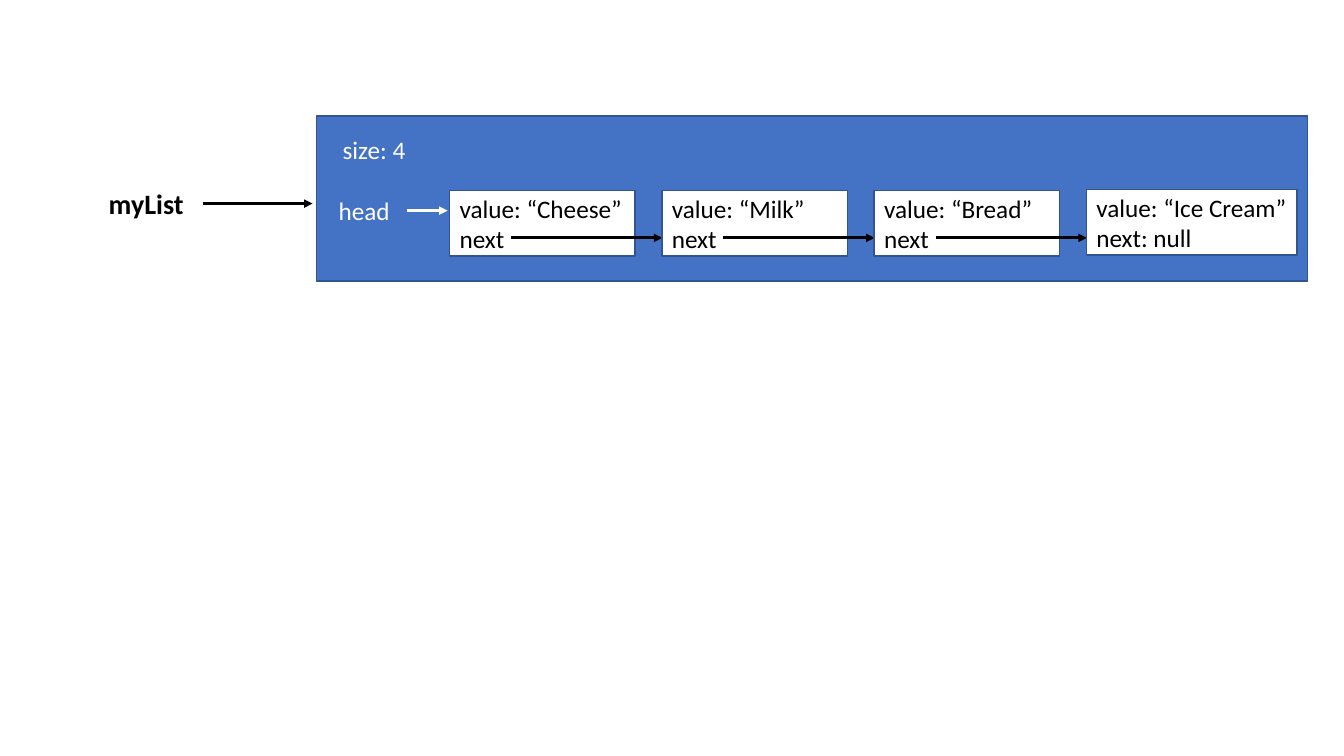
"""Builds a slide showing a linked list of four shopping items."""
from lxml import etree
from pptx import Presentation
from pptx.dml.color import RGBColor
from pptx.enum.shapes import MSO_CONNECTOR, MSO_SHAPE
from pptx.enum.text import MSO_ANCHOR, MSO_AUTO_SIZE, PP_ALIGN
from pptx.oxml.ns import qn
from pptx.util import Inches, Pt

STRAIGHT = MSO_CONNECTOR.STRAIGHT
RECTANGLE = MSO_SHAPE.RECTANGLE
MIDDLE = MSO_ANCHOR.MIDDLE
FIT_SHAPE = MSO_AUTO_SIZE.SHAPE_TO_FIT_TEXT
LEFT = PP_ALIGN.LEFT

FONT = "Calibri"
COLORS = {"list": "4472C4", "border": "325491", "white": "FFFFFF", "black": "000000"}
NODES = [("Cheese", 1.89, 1.84), ("Milk", 1.89, 1.84),
         ("Bread", 1.89, 1.84), ("Ice Cream", 1.88, 2.09)]
FIRST_NODE_LEFT = 4.46
NODE_STEP = 2.105
NODE_HEIGHT = 0.65


def color(name):
    """Return the named colour."""
    return RGBColor.from_string(COLORS[name])


def write(frame, text, color_name, size=18, bold=False):
    """Fill a text frame and format all its runs."""
    frame.text = text
    for para in frame.paragraphs:
        para.alignment = LEFT
        for span in para.runs:
            span.font.name = FONT
            span.font.size = Pt(size)
            span.font.bold = bold
            span.font.color.rgb = color(color_name)


def add_label(slide, text, left, top, width, height, color_name, **style):
    """Add an unwrapped text label."""
    label = slide.shapes.add_textbox(Inches(left), Inches(top), Inches(width), Inches(height))
    label.text_frame.word_wrap = False
    label.text_frame.auto_size = FIT_SHAPE
    write(label.text_frame, text, color_name, **style)


def add_box(slide, left, top, width, height, fill_name):
    """Add a bordered rectangle and return it."""
    box = slide.shapes.add_shape(RECTANGLE, Inches(left), Inches(top), Inches(width), Inches(height))
    box.shadow.inherit = False
    box.fill.solid()
    box.fill.fore_color.rgb = color(fill_name)
    box.line.color.rgb = color("border")
    box.line.width = Pt(1)
    return box


def add_arrow(slide, start, end, y, color_name):
    """Add a horizontal arrow pointing right."""
    arrow = slide.shapes.add_connector(STRAIGHT, Inches(start), Inches(y), Inches(end), Inches(y))
    arrow.line.color.rgb = color(color_name)
    arrow.line.width = Pt(2)
    etree.SubElement(arrow.line._get_or_add_ln(), qn("a:tailEnd"), type="triangle")
    etree.SubElement(arrow._element.spPr, qn("a:effectLst"))


def add_node(slide, left, top, width, value, is_last):
    """Add a list node, with an arrow to the next one unless it is last."""
    node = add_box(slide, left, top, width, NODE_HEIGHT, "white")
    node.text_frame.word_wrap = True
    node.text_frame.vertical_anchor = MIDDLE
    following = "next: null" if is_last else "next"
    write(node.text_frame, f"value: “{value}”\n{following}", "black")
    if not is_last:
        add_arrow(slide, left + 0.61, left + 2.11, 2.36, "black")


def main():
    """Build and save the deck."""
    deck = Presentation()
    deck.slide_width, deck.slide_height = Inches(13.33), Inches(7.5)
    slide = deck.slides.add_slide(deck.slide_layouts[6])
    add_label(slide, "myList", 0.98, 1.8, 1.03, 0.44, "black", size=20, bold=True)
    add_box(slide, 3.14, 1.15, 9.83, 1.64, "list")
    add_label(slide, "size: 4", 3.3, 1.28, 0.83, 0.4, "white")
    add_label(slide, "head", 3.26, 1.89, 0.78, 0.4, "white")
    add_arrow(slide, 4.04, 4.44, 2.09, "white")
    add_arrow(slide, 2.01, 3.1, 2.02, "black")
    for index, (value, top, width) in enumerate(NODES):
        left = FIRST_NODE_LEFT + index * NODE_STEP
        add_node(slide, left, top, width, value, index == len(NODES) - 1)
    deck.save("out.pptx")


main()
